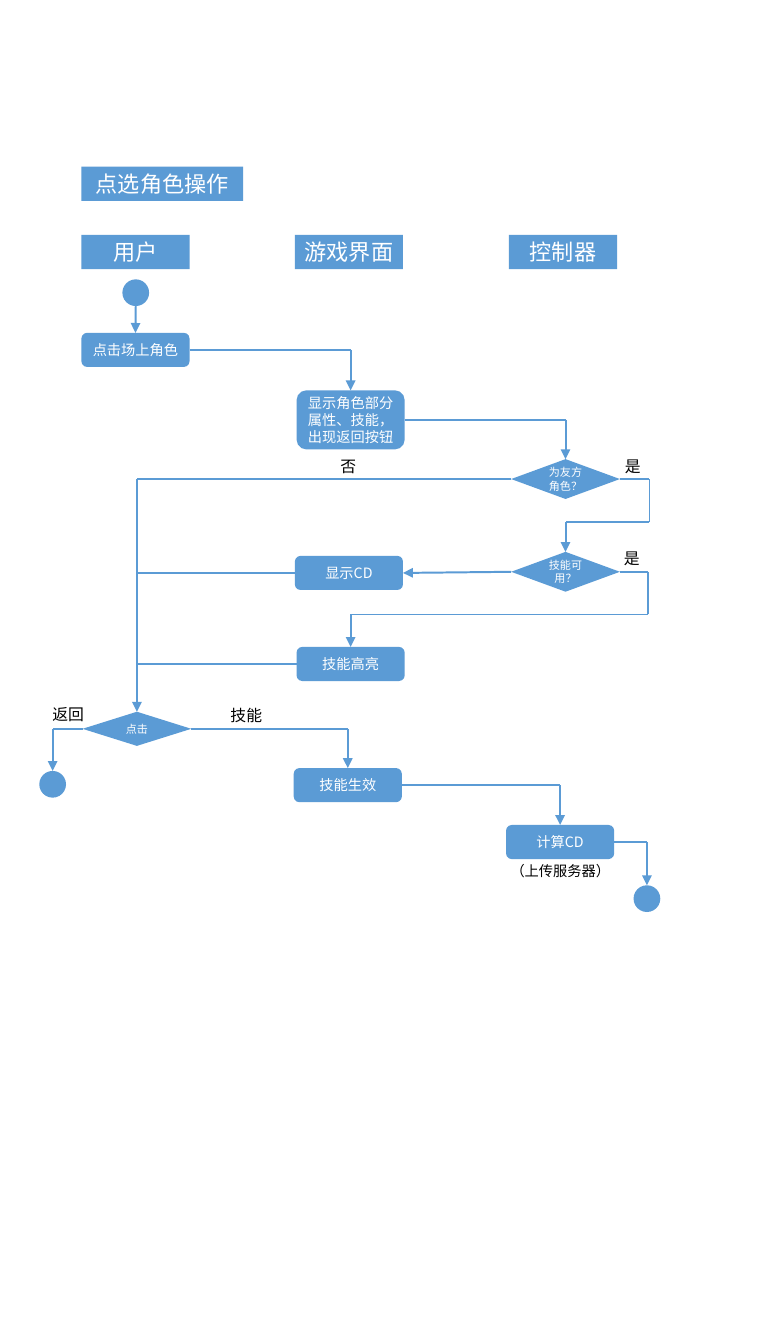
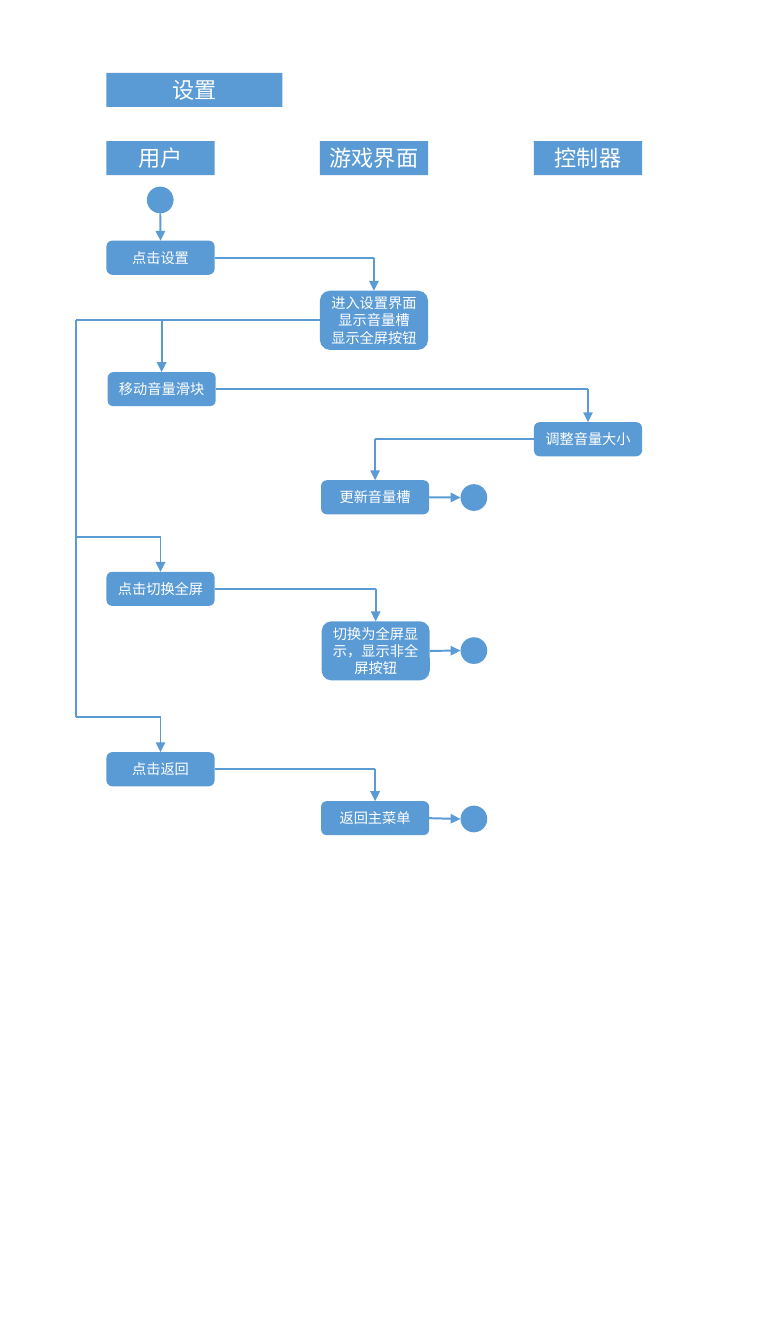
"""Build two swimlane flowcharts: selecting a character and changing settings."""
from lxml import etree
from pptx import Presentation
from pptx.dml.color import RGBColor
from pptx.enum.shapes import MSO_CONNECTOR, MSO_SHAPE as Shape
from pptx.enum.text import MSO_ANCHOR, MSO_AUTO_SIZE, PP_ALIGN
from pptx.oxml.ns import qn
from pptx.util import Inches, Pt

COLORS = {"blue": "5B9BD5", "white": "FFFFFF", "black": "000000"}
FONT = "Noto Sans CJK SC"
TOP, LEFT, BOTTOM, RIGHT = range(4)
CORNER = (None, None)

PAGE = {"slide_width": Inches(40 / 3), "slide_height": Inches(60 / 2.54)}
LANES = [("用户", 0), ("游戏界面", 3.75), ("控制器", 7.51)]
LANE_DROP = 1.2
HEAD_WIDTH, HEAD_HEIGHT, HEAD_SIZE = 1.9, 0.6, 28
LABEL_SIZE = 20
LINE_WIDTH, ARROW_WIDTH = 2.25, 2.5
ARROWHEAD = {"type": "triangle", "w": "lg", "len": "lg"}

KINDS = {
    "dot": (Shape.OVAL, 0.47, 0.47, 18),
    "step": (Shape.ROUNDED_RECTANGLE, 1.9, 0.6, 18),
    "panel": (Shape.ROUNDED_RECTANGLE, 1.9, 1.04, 18),
    "test": (Shape.FLOWCHART_DECISION, 1.91, 0.7, 14),
    "choice": (Shape.FLOWCHART_DECISION, 1.91, 0.6, 14),
}

SELECT_CHARACTER = {
    "title": ("点选角色操作", 1.43, 2.93, 2.84),
    "nodes": {
        "start": ("dot", 2.15, 4.91, ""),
        "pick": ("step", 1.43, 5.85, "点击场上角色"),
        "info": ("panel", 5.21, 6.86, "显示角色部分属性、技能，出现返回按钮"),
        "friend": ("test", 8.98, 8.07, "为友方角色？"),
        "ready": ("test", 8.98, 9.7, "技能可用？"),
        "cooldown": ("step", 5.18, 9.77, "显示CD"),
        "highlight": ("step", 5.21, 11.37, "技能高亮"),
        "click": ("choice", 1.45, 12.51, "点击"),
        "back": ("dot", 0.69, 13.55, ""),
        "effect": ("step", 5.16, 13.5, "技能生效"),
        "count": ("step", 8.89, 14.5, "计算CD"),
        "end": ("dot", 11.13, 15.56, ""),
    },
    "arrows": [
        [("start", BOTTOM), ("pick", TOP)],
        [("pick", RIGHT), CORNER, ("info", TOP)],
        [("info", RIGHT), CORNER, ("friend", TOP)],
        [("friend", LEFT), CORNER, ("click", TOP)],
        [("friend", RIGHT), (11.41, None), (11.41, 9.17), CORNER, ("ready", TOP)],
        [("ready", LEFT), ("cooldown", RIGHT)],
        [("ready", RIGHT), (11.39, None), (11.39, 10.8), CORNER, ("highlight", TOP)],
        [("click", LEFT), CORNER, ("back", TOP)],
        [("click", RIGHT), CORNER, ("effect", TOP)],
        [("effect", RIGHT), CORNER, ("count", TOP)],
        [("count", RIGHT), CORNER, ("end", TOP)],
    ],
    "joins": [
        [("cooldown", LEFT), (2.4, None)],
        [("highlight", LEFT), (2.4, None)],
    ],
    "labels": [
        ("否", 5.88, 7.98, 0.48, LABEL_SIZE),
        ("是", 10.88, 7.98, 0.48, LABEL_SIZE),
        ("是", 10.86, 9.59, 0.48, LABEL_SIZE),
        ("返回", 0.82, 12.34, 0.76, LABEL_SIZE),
        ("技能", 3.95, 12.36, 0.76, LABEL_SIZE),
        ("（上传服务器）", 8.87, 15.1, 1.97, 18),
    ],
}

SETTINGS = {
    "title": ("设置", 1.87, 1.28, 3.09),
    "nodes": {
        "start": ("dot", 2.58, 3.28, ""),
        "open": ("step", 1.87, 4.23, "点击设置"),
        "screen": ("panel", 5.62, 5.11, "进入设置界面\n显示音量槽\n显示全屏按钮"),
        "slide": ("step", 1.89, 6.54, "移动音量滑块"),
        "adjust": ("step", 9.38, 7.42, "调整音量大小"),
        "update": ("step", 5.64, 8.44, "更新音量槽"),
        "volume end": ("dot", 8.09, 8.51, ""),
        "toggle": ("step", 1.87, 10.05, "点击切换全屏"),
        "full": ("panel", 5.65, 10.92, "切换为全屏显示，显示非全屏按钮"),
        "full end": ("dot", 8.09, 11.2, ""),
        "return": ("step", 1.87, 13.22, "点击返回"),
        "menu": ("step", 5.64, 14.08, "返回主菜单"),
        "menu end": ("dot", 8.09, 14.16, ""),
    },
    "arrows": [
        [("start", BOTTOM), ("open", TOP)],
        [("open", RIGHT), CORNER, ("screen", TOP)],
        [("screen", LEFT), (1.33, None), (1.33, 12.6), CORNER, ("return", TOP)],
        [(None, 5.63), ("slide", TOP)],
        [("slide", RIGHT), CORNER, ("adjust", TOP)],
        [("adjust", LEFT), CORNER, ("update", TOP)],
        [("update", RIGHT), ("volume end", LEFT)],
        [(1.33, 9.44), CORNER, ("toggle", TOP)],
        [("toggle", RIGHT), CORNER, ("full", TOP)],
        [("full", RIGHT), ("full end", LEFT)],
        [("return", RIGHT), CORNER, ("menu", TOP)],
        [("menu", RIGHT), ("menu end", LEFT)],
    ],
    "joins": [],
    "labels": [],
}


def apply(target, values):
    for name, value in values.items():
        setattr(target, name, value)


def rgb(color):
    return RGBColor.from_string(COLORS[color])


def write(frame, text, size, color, align):
    frame.text = text
    for paragraph in frame.paragraphs:
        paragraph.alignment = align
        for run in paragraph.runs:
            apply(run.font, {"name": FONT, "size": Pt(size)})
            run.font.color.rgb = rgb(color)
            east_asian = etree.SubElement(run.font._element, qn("a:ea"))
            east_asian.set("typeface", FONT)


def add_block(slide, preset, left, top, width, height, text, size):
    block = slide.shapes.add_shape(preset, *map(Inches, (left, top, width, height)))
    block.shadow.inherit = False
    block.fill.solid()
    block.fill.fore_color.rgb = rgb("blue")
    block.line.fill.background()
    apply(block.text_frame, {"word_wrap": True, "vertical_anchor": MSO_ANCHOR.MIDDLE})
    if text:
        write(block.text_frame, text, size, "white", PP_ALIGN.CENTER)
    return block


def add_label(slide, text, left, top, width, size):
    height = size * 0.022
    label = slide.shapes.add_textbox(*map(Inches, (left, top, width, height)))
    apply(label.text_frame, {"word_wrap": False,
                             "auto_size": MSO_AUTO_SIZE.SHAPE_TO_FIT_TEXT})
    write(label.text_frame, text, size, "black", PP_ALIGN.LEFT)


def add_heads(slide, title, left, top, width):
    heads = [(title, left, top, width)]
    heads += [(lane, left + offset, top + LANE_DROP, HEAD_WIDTH)
              for lane, offset in LANES]
    for text, x, y, w in heads:
        add_block(slide, Shape.RECTANGLE, x, y, w, HEAD_HEIGHT, text, HEAD_SIZE)


def side_point(block, side):
    middle_x = block.left + block.width // 2
    middle_y = block.top + block.height // 2
    return {
        TOP: (middle_x, block.top),
        LEFT: (block.left, middle_y),
        BOTTOM: (middle_x, block.top + block.height),
        RIGHT: (block.left + block.width, middle_y),
    }[side]


def route_points(route, blocks):
    target, side = route[-1]
    target_x = side_point(blocks[target], side)[0] if target in blocks else None
    points = []
    for first, second in route:
        if first in blocks:
            points.append(side_point(blocks[first], second))
        else:
            x = target_x if first is None else Inches(first)
            y = points[-1][1] if second is None else Inches(second)
            points.append((x, y))
    return points


def add_route(slide, route, blocks, arrow):
    points = route_points(route, blocks)
    for i, (start, end) in enumerate(zip(points, points[1:])):
        pointed = arrow and i == len(points) - 2
        line = slide.shapes.add_connector(MSO_CONNECTOR.STRAIGHT, *start, *end)
        for stop, connect in ((route[i], line.begin_connect),
                              (route[i + 1], line.end_connect)):
            block = blocks.get(stop[0])
            if block and (block.auto_shape_type != Shape.OVAL or stop[1] == TOP):
                connect(block, stop[1])
        line.line.color.rgb = rgb("blue")
        line.line.width = Pt(ARROW_WIDTH if pointed else LINE_WIDTH)
        if pointed:
            etree.SubElement(line.line._get_or_add_ln(), qn("a:tailEnd"), ARROWHEAD)
        etree.SubElement(line._element.spPr, qn("a:effectLst"))


def build_flow(slide, flow):
    add_heads(slide, *flow["title"])
    blocks = {}
    for name, (kind, left, top, text) in flow["nodes"].items():
        preset, width, height, size = KINDS[kind]
        blocks[name] = add_block(slide, preset, left, top, width, height, text, size)
    for part, arrow in (("arrows", True), ("joins", False)):
        for route in flow[part]:
            add_route(slide, route, blocks, arrow)
    for label in flow["labels"]:
        add_label(slide, *label)


def main():
    deck = Presentation()
    apply(deck, PAGE)
    for flow in (SELECT_CHARACTER, SETTINGS):
        build_flow(deck.slides.add_slide(deck.slide_layouts[6]), flow)
    deck.save("out.pptx")


if __name__ == "__main__":
    main()
